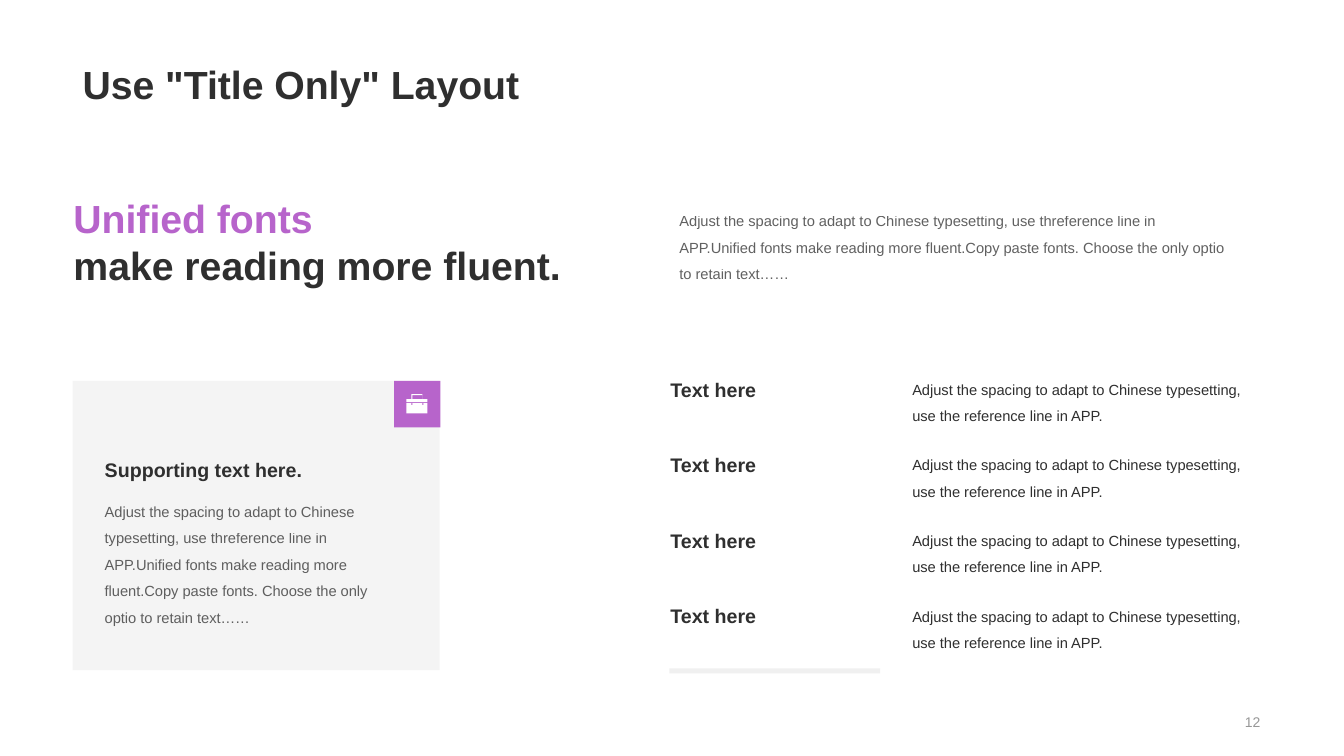
from lxml.etree import SubElement
from pptx import Presentation
from pptx.dml.color import RGBColor
from pptx.enum.shapes import MSO_SHAPE
from pptx.enum.text import MSO_ANCHOR, MSO_AUTO_SIZE, PP_ALIGN
from pptx.oxml.ns import qn
from pptx.util import Emu, Pt

PX = 9144  # 100 px to the inch
DARK, PURPLE, GRAY, BODY = "2F2F2F", "B764CB", "979797", "393939"
WHITE, PALE = "FFFFFF", "F0F0F0"
LONG_TEXT = (
    "Adjust the spacing to adapt to Chinese typesetting, use threference line in "
    "APP.Unified fonts make reading more fluent.Copy paste fonts. "
    "Choose the only optio to retain text……"
)
ROW_TEXT = "Adjust the spacing to adapt to Chinese typesetting, use the reference line in APP."
ROW_COUNT, ROW_PITCH = 4, 75
BRIEFCASE = [
    [(408, 400), (408, 402), (409, 402), (409, 400), (419, 400), (419, 402),
     (420, 402), (420, 400), (424, 400), (424, 410), (403, 410), (403, 400)],
    [(419, 391), (419, 396), (424, 396), (424, 399), (403, 399), (403, 396),
     (408, 396), (408, 391)],
    [(419, 392), (409, 392), (409, 396), (419, 396)],
]


def box(*lengths):
    return [Emu(length * PX) for length in lengths]


def paint(fill, color, opacity=100):
    """Give a fill a solid colour, with opacity in percent."""
    fill.solid()
    fill.fore_color.rgb = RGBColor.from_string(color)
    if opacity < 100:
        for element in fill._xPr.iter(qn("a:srgbClr")):
            SubElement(element, qn("a:alpha"), val=str(opacity * 1000))


def finish(shape, color, opacity=100):
    shape.shadow.inherit = False
    shape.line.fill.background()
    paint(shape.fill, color, opacity)


def add_rectangle(slide, place, color, opacity=100):
    shape = slide.shapes.add_shape(MSO_SHAPE.RECTANGLE, *box(*place))
    finish(shape, color, opacity)


def add_icon(slide, contours, color):
    first, *others = contours
    builder = slide.shapes.build_freeform(*first[0], scale=PX)
    builder.add_line_segments(first[1:], close=True)
    for contour in others:
        builder.move_to(*contour[0])
        builder.add_line_segments(contour[1:], close=True)
    finish(builder.convert_to_shape(), color)


def add_text(slide, place, lines, size, bold=False, spacing=None, opacity=100,
             anchor=MSO_ANCHOR.TOP, align=PP_ALIGN.LEFT, grow=True):
    """Add a text box with one paragraph for each (text, colour) pair."""
    frame = slide.shapes.add_textbox(*box(*place)).text_frame
    frame.word_wrap = True
    frame.auto_size = MSO_AUTO_SIZE.SHAPE_TO_FIT_TEXT if grow else MSO_AUTO_SIZE.NONE
    frame.vertical_anchor = anchor
    for index, (text, color) in enumerate(lines):
        paragraph = frame.add_paragraph() if index else frame.paragraphs[0]
        paragraph.alignment = align
        paragraph.line_spacing = spacing
        run = paragraph.add_run()
        run.text = text
        run.font.name = "Arial"
        run.font.size = Pt(size)
        run.font.bold = bold
        paint(run.font.fill, color, opacity)


def add_subheading(slide, place, text):
    add_text(slide, place, [(text, DARK)], 14, bold=True, spacing=1.5)


def add_body(slide, place, text, color, opacity=100):
    add_text(slide, place, [(text, color)], 10.5, spacing=1.5, opacity=opacity)


def add_card(slide):
    add_rectangle(slide, (72, 378, 364, 287), GRAY, 10)
    add_subheading(slide, (94, 438, 321, 41), "Supporting text here.")
    add_body(slide, (94, 485, 300, 139), LONG_TEXT, BODY, 80)
    add_rectangle(slide, (391, 378, 46, 46), PURPLE)
    add_icon(slide, BRIEFCASE, WHITE)


def add_rows(slide):
    for row in range(ROW_COUNT):
        offset = row * ROW_PITCH
        add_subheading(slide, (655, 358 + offset, 139, 41), "Text here")
        add_body(slide, (895, 364 + offset, 364, 60), ROW_TEXT, DARK)
    add_rectangle(slide, (664, 663, 209, 5), PALE)


def main():
    presentation = Presentation()
    presentation.slide_width, presentation.slide_height = box(1333, 750)
    slide = presentation.slides.add_slide(presentation.slide_layouts[6])

    add_text(slide, (72, 0, 1188, 112), [('Use "Title Only" Layout', DARK)], 28,
             bold=True, spacing=0.9, anchor=MSO_ANCHOR.BOTTOM, grow=False)
    add_text(slide, (63, 188, 511, 104),
             [("Unified fonts", PURPLE), ("make reading more fluent.", DARK)],
             28, bold=True)
    add_body(slide, (664, 197, 562, 86), LONG_TEXT, BODY, 80)
    add_card(slide)
    add_rows(slide)
    add_text(slide, (969, 704, 291, 24), [("12", GRAY)], 10,
             anchor=MSO_ANCHOR.MIDDLE, align=PP_ALIGN.RIGHT, grow=False)
    presentation.save("out.pptx")


if __name__ == "__main__":
    main()
